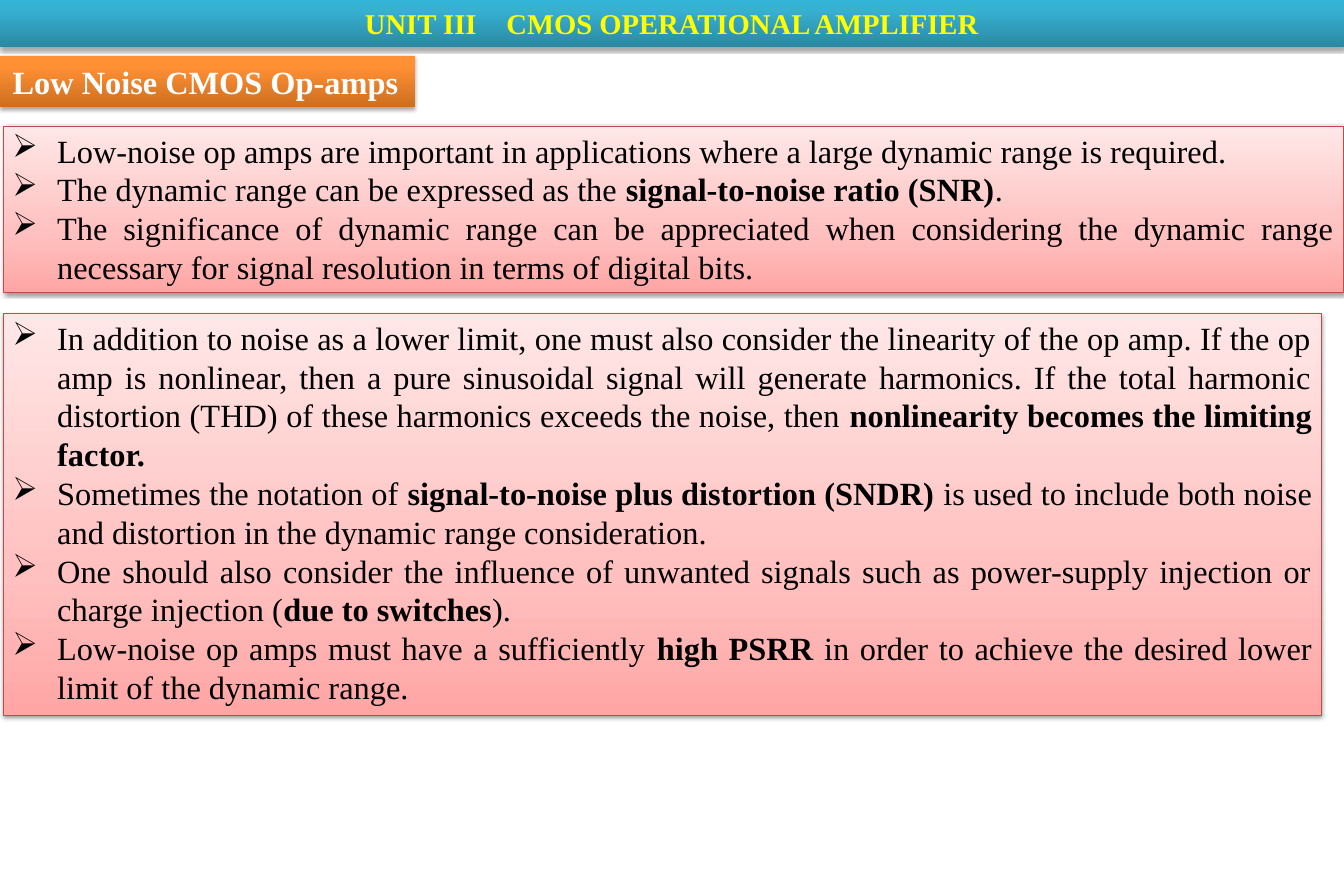
from lxml import etree
from pptx import Presentation
from pptx.dml.color import RGBColor
from pptx.enum.shapes import MSO_SHAPE
from pptx.enum.text import MSO_ANCHOR, MSO_AUTO_SIZE, PP_ALIGN
from pptx.oxml import parse_xml
from pptx.oxml.ns import nsdecls, qn
from pptx.util import Inches, Pt

RECT = MSO_SHAPE.RECTANGLE
TOP = MSO_ANCHOR.TOP
FIXED = MSO_AUTO_SIZE.NONE
LEFT, CENTER, JUSTIFY = PP_ALIGN.LEFT, PP_ALIGN.CENTER, PP_ALIGN.JUSTIFY

ORANGE = [(0, "CC6E20"), (80, "FF9034"), (100, "FF9136")]
TEAL = [(0, "2A88A2"), (80, "37B1D2"), (100, "34B4D6")]
PINK = [(0, "FFA6A5"), (35, "FFC0BF"), (100, "FFE7E7")]

# Asterisks enclose bold words.
RANGE = [
    "Low-noise op amps are important in applications where a large dynamic range is required.",
    "The dynamic range can be expressed as the *signal-to-noise ratio (SNR)*.",
    "The significance of dynamic range can be appreciated when considering the dynamic range "
    "necessary for signal resolution in terms of digital bits.",
]
LIMITS = [
    "In addition to noise as a lower limit, one must also consider the linearity of the op amp. "
    "If the op amp is nonlinear, then a pure sinusoidal signal will generate harmonics. If the "
    "total harmonic distortion (THD) of these harmonics exceeds the noise, then "
    "*nonlinearity becomes the limiting factor.*",
    "Sometimes the notation of *signal-to-noise plus distortion (SNDR)* is used to include both "
    "noise and distortion in the dynamic range consideration.",
    "One should also consider the influence of unwanted signals such as power-supply injection "
    "or charge injection (*due to switches*).",
    "Low-noise op amps must have a sufficiently *high PSRR *in order to achieve the desired "
    "lower limit of the dynamic range.",
]


def color(code):
    return RGBColor.from_string(code)


class Deck:
    font = "Times New Roman"
    edge = "BF4C48"

    def __init__(self):
        self.prs = Presentation()
        self.prs.slide_width, self.prs.slide_height = Inches(15), Inches(10)
        self.slide = self.prs.slides.add_slide(self.prs.slide_layouts[5])

    def place(self, shape, box):
        for name, value in zip(("left", "top", "width", "height"), box):
            setattr(shape, name, Inches(value))

    def paint(self, shape, stops, alpha, dist, edge=None):
        """Give the shape an upward gradient, an outline and a soft shadow."""
        shape.fill.background()
        grad = "".join(
            f'<a:gs pos="{pos * 1000}"><a:srgbClr val="{code}"/></a:gs>' for pos, code in stops)
        props = shape.element.spPr
        props.replace(props.find(qn("a:noFill")), parse_xml(
            f'<a:gradFill {nsdecls("a")} rotWithShape="1"><a:gsLst>{grad}</a:gsLst>'
            '<a:lin ang="16200000" scaled="0"/></a:gradFill>'))
        if edge:
            shape.line.color.rgb = color(edge)
            shape.line.width = Pt(0.75)
        else:
            shape.line.fill.background()
        shape.shadow.inherit = False
        props.find(qn("a:effectLst")).append(parse_xml(
            f'<a:outerShdw {nsdecls("a")} blurRad="{Pt(3.1)}" dist="{Pt(dist)}" '
            f'dir="5400000" rotWithShape="0"><a:srgbClr val="000000">'
            f'<a:alpha val="{alpha * 1000}"/></a:srgbClr></a:outerShdw>'))

    def frame(self, shape, side, end, wrap=True):
        frame = shape.text_frame
        style = dict(margin_left=Inches(side), margin_right=Inches(side),
                     margin_top=Inches(end), margin_bottom=Inches(end),
                     word_wrap=wrap, auto_size=FIXED, vertical_anchor=TOP)
        for name, value in style.items():
            setattr(frame, name, value)
        return frame

    def words(self, para, text, size, code, align):
        para.alignment = align
        for i, part in enumerate(text.split("*")):
            if part:
                run = para.add_run()
                run.text = part
                style = dict(name=self.font, size=Pt(size), bold=i % 2 == 1)
                for name, value in style.items():
                    setattr(run.font, name, value)
                run.font.color.rgb = color(code)

    def label(self, shape, box, stops, text, size, code, align, wrap=True):
        self.place(shape, box)
        self.paint(shape, stops, 35, 1.8)
        frame = self.frame(shape, 0.14, 0.07, wrap)
        self.words(frame.paragraphs[0], f"*{text}*", size, code, align)

    def title(self, text, box):
        self.label(self.slide.shapes.title, box, ORANGE, text, 26, "FFFFFF", LEFT, False)

    def banner(self, text, box):
        shape = self.slide.shapes.add_shape(RECT, *map(Inches, box))
        self.label(shape, box, TEAL, text, 23, "FFFF00", CENTER)

    def panel(self, items, box):
        shape = self.slide.shapes.add_shape(RECT, *map(Inches, box))
        self.paint(shape, PINK, 38, 1.6, self.edge)
        frame = self.frame(shape, 0.1, 0.05)
        for i, text in enumerate(items):
            para = frame.add_paragraph() if i else frame.paragraphs[0]
            self.words(para, text, 26, "000000", JUSTIFY)
            props = para._p.get_or_add_pPr()
            props.set("marL", str(Inches(0.5)))
            props.set("indent", str(-Inches(0.5)))
            etree.SubElement(props, qn("a:buChar")).set("char", "➢")


def main():
    deck = Deck()
    deck.title("Low Noise CMOS Op-amps", (0, 0.62, 4.63, 0.58))
    deck.banner("UNIT III\t CMOS OPERATIONAL AMPLIFIER", (0, 0, 15, 0.53))
    deck.panel(RANGE, (0.04, 1.41, 14.96, 1.85))
    deck.panel(LIMITS, (0.04, 3.5, 14.71, 4.48))
    deck.prs.save("out.pptx")


if __name__ == "__main__":
    main()
